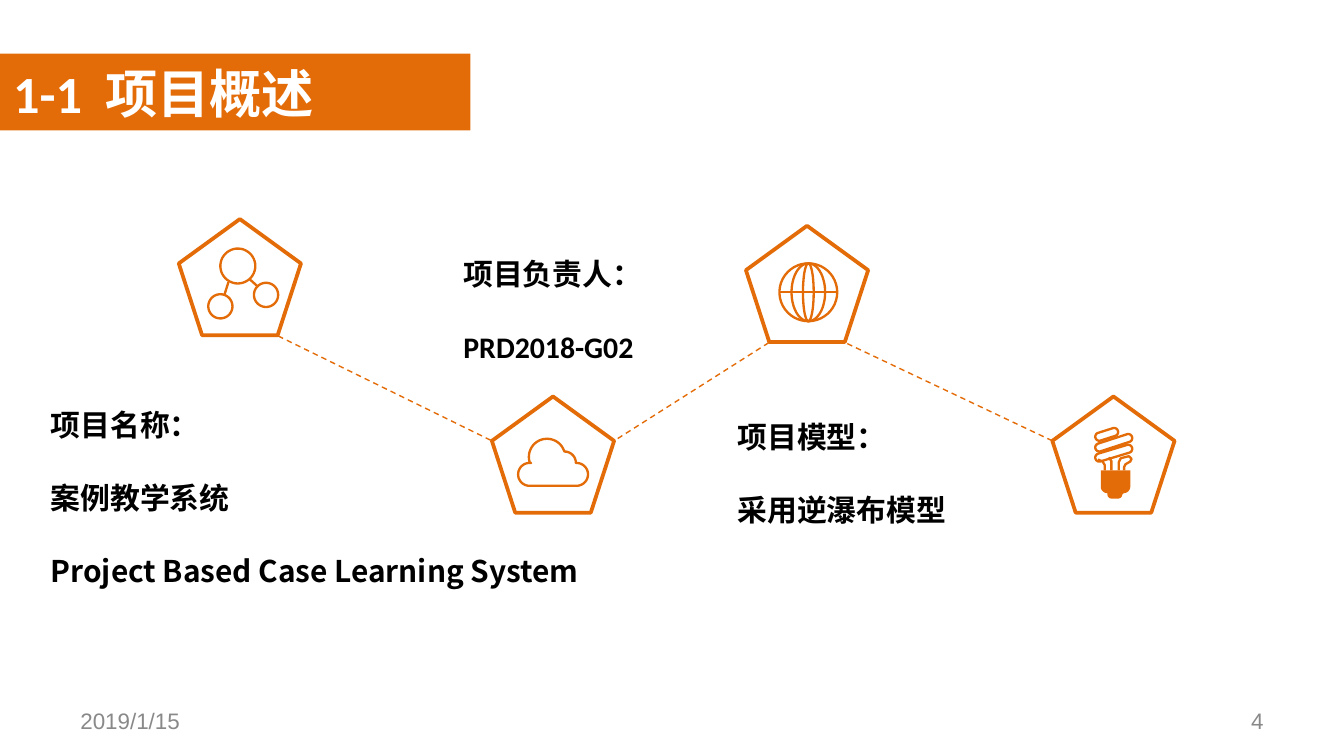
from math import cos, radians, sin, hypot, atan2, degrees

from lxml.etree import SubElement
from pptx import Presentation
from pptx.dml.color import RGBColor
from pptx.enum.dml import MSO_LINE
from pptx.enum.shapes import MSO_CONNECTOR, MSO_SHAPE
from pptx.enum.text import MSO_ANCHOR, PP_ALIGN
from pptx.oxml.ns import qn
from pptx.util import Pt

SCALE = 4572  # EMU per px, 200 px to the inch
ORANGE, WHITE, BLACK, GRAY = "E36C09", "FFFFFF", "000000", "898989"
CJK = "Noto Sans CJK SC"
LEADING = 1.22


def px(length):
    return round(length * SCALE)


def color(value):
    return RGBColor.from_string(value)


def arc(x, y, radius_x, radius_y=None, start=0, end=360):
    """Points along an ellipse, with angles running clockwise."""
    radius_y = radius_y or radius_x
    steps = max(8, abs(end - start) // 8)
    angles = [radians(start + (end - start) * i / steps) for i in range(int(steps) + 1)]
    return [(x + radius_x * cos(a), y + radius_y * sin(a)) for a in angles]


def pill(x1, y1, x2, y2, radius):
    tilt = degrees(atan2(y2 - y1, x2 - x1))
    outline = (arc(x1, y1, radius, start=tilt + 90, end=tilt + 270)
               + arc(x2, y2, radius, start=tilt - 90, end=tilt + 90))
    return outline + outline[:1]


class SlideBuilder:
    def __init__(self, slide):
        self.slide = slide

    def style(self, shape, fill=None, line=None, width=0):
        shape.shadow.inherit = False
        if fill:
            shape.fill.solid()
            shape.fill.fore_color.rgb = color(fill)
        else:
            shape.fill.background()
        if line:
            shape.line.color.rgb = color(line)
            shape.line.width = Pt(width)
        else:
            shape.line.fill.background()

    def bar(self, *box):
        shape = self.slide.shapes.add_shape(MSO_SHAPE.RECTANGLE, *map(px, box))
        self.style(shape, fill=ORANGE)

    def badge(self, left, top, strokes, solids=()):
        """A pentagon grouped with its icon."""
        group = self.slide.shapes.add_group_shape()
        shape = group.shapes.add_shape(
            MSO_SHAPE.REGULAR_PENTAGON, px(left), px(top), px(182), px(173))
        self.style(shape, line=ORANGE, width=2)
        self.outline(group, strokes, line=ORANGE, width=1.25)
        if solids:
            self.outline(group, solids, fill=ORANGE)

    def outline(self, group, contours, **style):
        contours = [[(px(x), px(y)) for x, y in contour] for contour in contours]
        builder = group.shapes.build_freeform(*contours[0][0], scale=1.0)
        for number, contour in enumerate(contours):
            if number:
                builder.move_to(*contour[0])
            builder.add_line_segments(contour[1:], close=contour[0] == contour[-1])
        self.style(builder.convert_to_shape(), **style)

    def link(self, *ends):
        connector = self.slide.shapes.add_connector(
            MSO_CONNECTOR.STRAIGHT, *map(px, ends))
        connector.line.color.rgb = color(ORANGE)
        connector.line.width = Pt(0.75)
        connector.line.dash_style = MSO_LINE.DASH
        SubElement(connector._element.spPr, qn("a:effectLst"))

    def text(self, box, lines, size=16, font="Calibri", ink=BLACK, bold=True,
             align=PP_ALIGN.LEFT, anchor=MSO_ANCHOR.TOP):
        frame = self.slide.shapes.add_textbox(*map(px, box)).text_frame
        frame.word_wrap = True
        frame.vertical_anchor = anchor
        frame.text = "\n".join(lines)
        for number, paragraph in enumerate(frame.paragraphs):
            paragraph.alignment = align
            paragraph.line_spacing = Pt(size * LEADING)
            if number:
                paragraph.space_before = Pt(size * LEADING)
            for run in paragraph.runs:
                self.format_run(run, size, font, ink, bold)
        return frame

    def format_run(self, run, size, font, ink, bold):
        run.font.size = Pt(size)
        run.font.bold = bold
        run.font.color.rgb = color(ink)
        run.font.name = font
        east_asian = font if font.startswith("Noto") else CJK
        SubElement(run.font._element, qn("a:ea")).set("typeface", east_asian)


def main():
    presentation = Presentation()
    presentation.slide_width, presentation.slide_height = px(2000), px(1125)
    slide = presentation.slides.add_slide(presentation.slide_layouts[6])
    builder = SlideBuilder(slide)

    # Title bar, with a wider gap after the number
    title_box = (0, 80, 700, 114)
    builder.bar(*title_box)
    title = builder.text(title_box, ["1-1"], 28, ink=WHITE).paragraphs[0]
    for part in (" ", "项目概述"):
        run = title.add_run()
        run.text = part
        builder.format_run(run, 28, "Calibri", WHITE, True)
    title.runs[1].font._element.set("spc", "600")

    # Badge: network
    builder.badge(266, 326, [
        arc(354, 396, 26), arc(328, 456, 18), arc(396, 439, 18),
        [(340, 420), (334, 439)], [(372, 416), (383, 426)]])

    # Badge: cloud
    cloud = (arc(788, 706, 17, start=90, end=278)
             + arc(814, 680, 27, start=163, end=340)
             + arc(840, 689, 17, start=270, end=360)
             + arc(858, 706, 17, start=-90, end=90))
    builder.badge(732, 590, [cloud + cloud[:1]])

    # Badge: light bulb
    stems = [
        [(1634, 684), (1641, 687), (1644, 692), (1644, 700)],
        [(1650, 681), (1654, 686), (1654, 700)],
        [(1665, 700), (1665, 688), (1668, 682), (1680, 679), (1684, 683),
         (1682, 687), (1675, 691), (1673, 695), (1673, 700)]]
    socket = ([(1638, 700), (1682, 700)]
              + arc(1672, 724, 10, start=0, end=90)
              + arc(1664, 736, 6, start=0, end=90)
              + arc(1654, 736, 6, start=90, end=180)
              + arc(1648, 724, 10, start=90, end=180) + [(1638, 700)])
    builder.badge(1566, 590, [
        pill(1636, 650, 1658, 643, 6), pill(1636, 666, 1679, 652, 6),
        pill(1636, 681, 1679, 668, 6), *stems], [socket])

    # Badge: globe
    builder.badge(1110, 336, [
        *(arc(1203, 435, radius, 43) for radius in (43, 25, 8)),
        [(1160, 435), (1246, 435)]])

    # Dashed links between the badges
    builder.link(414, 500, 732, 656)
    builder.link(1144, 510, 914, 656)
    builder.link(1566, 656, 1258, 510)

    # Project facts
    name = builder.text((56, 594, 898, 290), [
        "项目名称：", "案例教学系统", "Project Based Case Learning System"], font=CJK)
    english = name.paragraphs[2].runs[0].font
    english.name = "Noto Sans CJK TC"
    english._element.find(qn("a:ea")).set("typeface", "Noto Sans CJK TC")
    builder.text((670, 370, 426, 182), ["项目负责人：", "PRD2018-G02"])
    builder.text((1078, 612, 426, 236), ["项目模型：", "采用逆瀑布模型"])

    # Footer
    footer = dict(size=12, font="Arial", ink=GRAY, bold=False, anchor=MSO_ANCHOR.MIDDLE)
    builder.text((100, 1042, 466, 60), ["2019/1/15"], **footer)
    builder.text((1434, 1042, 466, 60), ["4"], align=PP_ALIGN.RIGHT, **footer)

    presentation.save("out.pptx")


if __name__ == "__main__":
    main()
